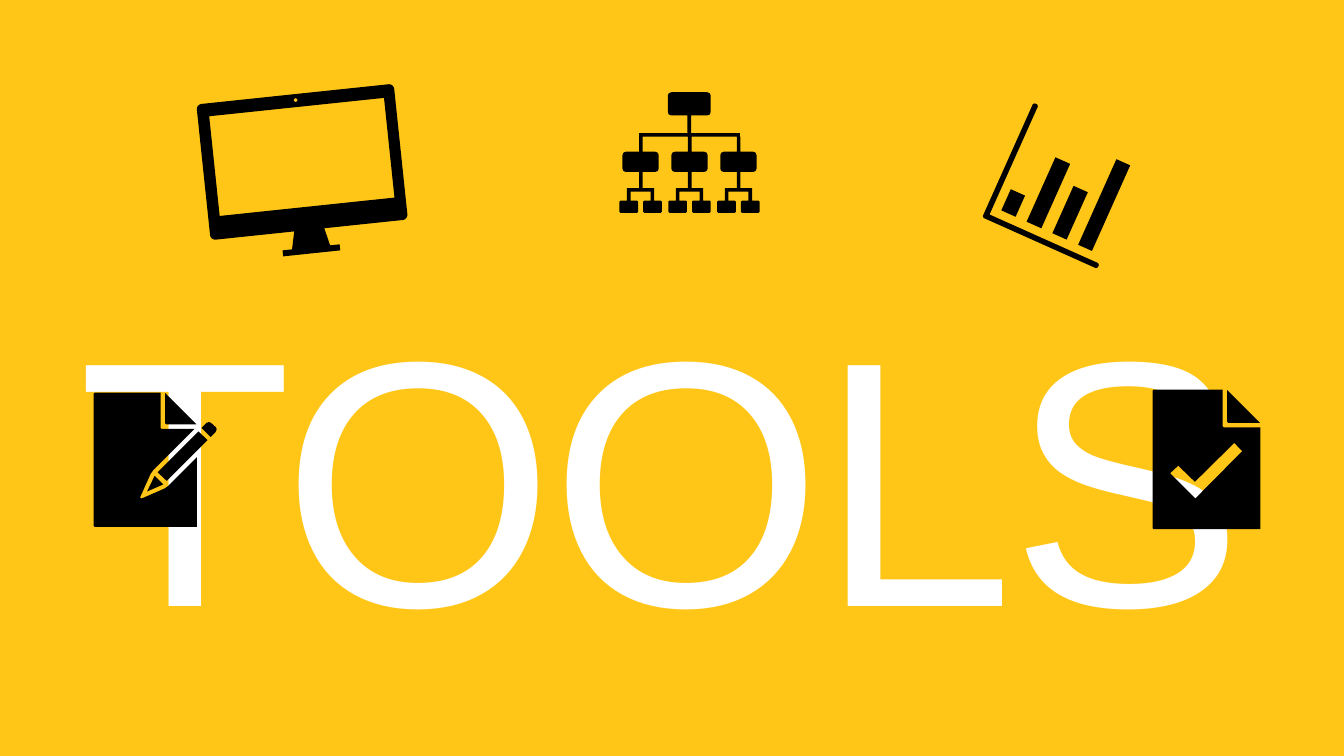
from dataclasses import dataclass
from math import cos, pi, sin

from pptx import Presentation
from pptx.dml.color import RGBColor
from pptx.enum import text
from pptx.util import Cm, Pt


@dataclass(frozen=True)
class Theme:
    background: RGBColor = RGBColor(0xFF, 0xC6, 0x17)
    icon: RGBColor = RGBColor(0, 0, 0)
    title: RGBColor = RGBColor(0xFF, 0xFF, 0xFF)
    font: str = "Arial"
    title_size: int = 500


THEME = Theme()


def rect(x, y, w, h):
    return [(x, y), (x + w, y), (x + w, y + h), (x, y + h)]


def arc(cx, cy, r, start, sweep, steps):
    angles = [start + sweep * i / steps for i in range(steps + 1)]
    return [(cx + r * cos(a), cy + r * sin(a)) for a in angles]


def round_rect(x, y, w, h, r):
    centres = rect(x + r, y + r, w - 2 * r, h - 2 * r)
    return [point for i, (cx, cy) in enumerate(centres)
            for point in arc(cx, cy, r, pi + i * pi / 2, pi / 2, 4)]


def add_icon(slide, box, grid_width, contours, rotation=0):
    """Draw contours, given on a grid of grid_width units, as one shape in box (left, top, width)."""
    left, top, width = box
    first, *others = contours
    builder = slide.shapes.build_freeform(*first[0], scale=width / grid_width)
    builder.add_line_segments(first[1:])
    for contour in others:
        builder.move_to(*contour[0])
        builder.add_line_segments(contour[1:])
    icon = builder.convert_to_shape(left, top)
    icon.rotation = rotation
    icon.shadow.inherit = False
    icon.fill.solid()
    icon.fill.fore_color.rgb = THEME.icon
    icon.line.fill.background()


def add_text(slide, box, words, *, size, color, spacing=0, line_spacing=1.0,
             align=text.PP_ALIGN.CENTER, anchor=text.MSO_ANCHOR.BOTTOM, inset=Cm(0.15)):
    frame = slide.shapes.add_textbox(*box).text_frame
    frame.word_wrap = True
    frame.vertical_anchor = anchor
    frame.margin_left = frame.margin_right = inset
    frame.margin_top = frame.margin_bottom = inset
    paragraph = frame.paragraphs[0]
    paragraph.alignment = align
    paragraph.line_spacing = line_spacing
    run = paragraph.add_run()
    run.text = words
    run.font.name = THEME.font
    run.font.size = Pt(size)
    run.font.color.rgb = color
    run._r.get_or_add_rPr().set("spc", str(spacing * 100))


def add_org_chart(slide, box):
    stroke, pitch = 7, 97
    contours = [round_rect(96, 0, 85, 46, 7), rect(135, 46, stroke, 35),
                rect(39, 81, 200, stroke)]
    for branch in range(3):
        x = branch * pitch
        contours += [
            rect(x + 39, 88, stroke, 30),
            round_rect(x + 6, 118, 72, 40, 7),
            rect(x + 39, 158, stroke, 32),
            rect(x + 15, 190, 54, stroke),
        ]
        for leaf in (x, x + 47):
            contours += [rect(leaf + 15, 197, stroke, 18),
                         round_rect(leaf, 215, 37, 24, 4)]
    add_icon(slide, box, 277, contours)


def add_monitor(slide, box):
    body = round_rect(0, 0, 394, 271, 9)
    screen = rect(23, 26, 349, 199)
    camera = arc(197, 12, 4, 0, 2 * pi, 12)
    neck = [(167, 271), (227, 271), (235, 306), (159, 306)]
    foot = rect(140, 306, 114, 12)
    add_icon(slide, box, 394, [body, screen, camera, neck, foot], rotation=354)


def add_bar_chart(slide, box):
    axes = [(3, 0), (8, 0), (11, 3), (11, 238), (247, 238), (250, 241),
            (250, 246), (247, 249), (3, 249), (0, 246), (0, 3)]
    baseline, first_bar, pitch = 221, 29, 55.5
    bars = [rect(first_bar + i * pitch, baseline - height, 31, height)
            for i, height in enumerate((46, 140, 103, 186))]
    add_icon(slide, box, 250, [axes, *bars], rotation=24.1)


def folded_page(width, height, fold_left, fold_bottom):
    """Return a page without its corner, starting at the lower right, and the folded corner."""
    page = [(width, height), (2, height), (0, height - 2), (0, 2), (2, 0),
            (fold_left - 9, 0), (fold_left - 9, fold_bottom + 7),
            (fold_left - 7, fold_bottom + 9)]
    corner = [(fold_left, 1), (fold_left, fold_bottom - 2),
              (fold_left + 2, fold_bottom), (width - 1, fold_bottom)]
    return page, corner


def add_pencil_page(slide, box):
    page, corner = folded_page(205, 266, 142, 63)
    pencil_gap = [(200, 72), (118, 154), (113, 161), (92, 208), (95, 210),
                  (141, 190), (148, 185), (205, 128)]
    eraser = [(229, 58), (224, 60), (214, 70), (232, 88), (242, 78),
              (244, 73), (243, 69), (233, 60)]
    shaft = [(208, 77), (127, 158), (145, 175), (226, 94)]
    tip = [(121, 165), (106, 196), (138, 182)]
    add_icon(slide, box, 244, [page + pencil_gap, corner, eraser, shaft, tip])


def add_checked_page(slide, box):
    page, corner = folded_page(214, 277, 148, 66)
    check = [(162, 106), (178, 122), (85, 216), (35, 166), (51, 151), (84, 183)]
    add_icon(slide, box, 214, [page + [(214, 75)], corner, check])


def add_tools_slide(deck):
    slide = deck.slides.add_slide(deck.slide_layouts[6])
    slide.background.fill.solid()
    slide.background.fill.fore_color.rgb = THEME.background
    add_text(slide, (Cm(2.84), Cm(12.57), Cm(60.96), Cm(21.13)), "TOOLS",
             size=THEME.title_size, color=THEME.title, spacing=-5, line_spacing=0.7)
    add_org_chart(slide, (Cm(31.22), Cm(4.65), Cm(7.04)))
    add_pencil_page(slide, (Cm(4.72), Cm(19.79), Cm(6.2)))
    add_monitor(slide, (Cm(10.29), Cm(4.72), Cm(10)))
    add_bar_chart(slide, (Cm(50.52), Cm(6.2), Cm(6.35)))
    add_checked_page(slide, (Cm(58.09), Cm(19.63), Cm(5.44)))


def main():
    deck = Presentation()
    deck.slide_width, deck.slide_height = Cm(67.74), Cm(38.1)
    add_tools_slide(deck)
    deck.save("out.pptx")


if __name__ == "__main__":
    main()
